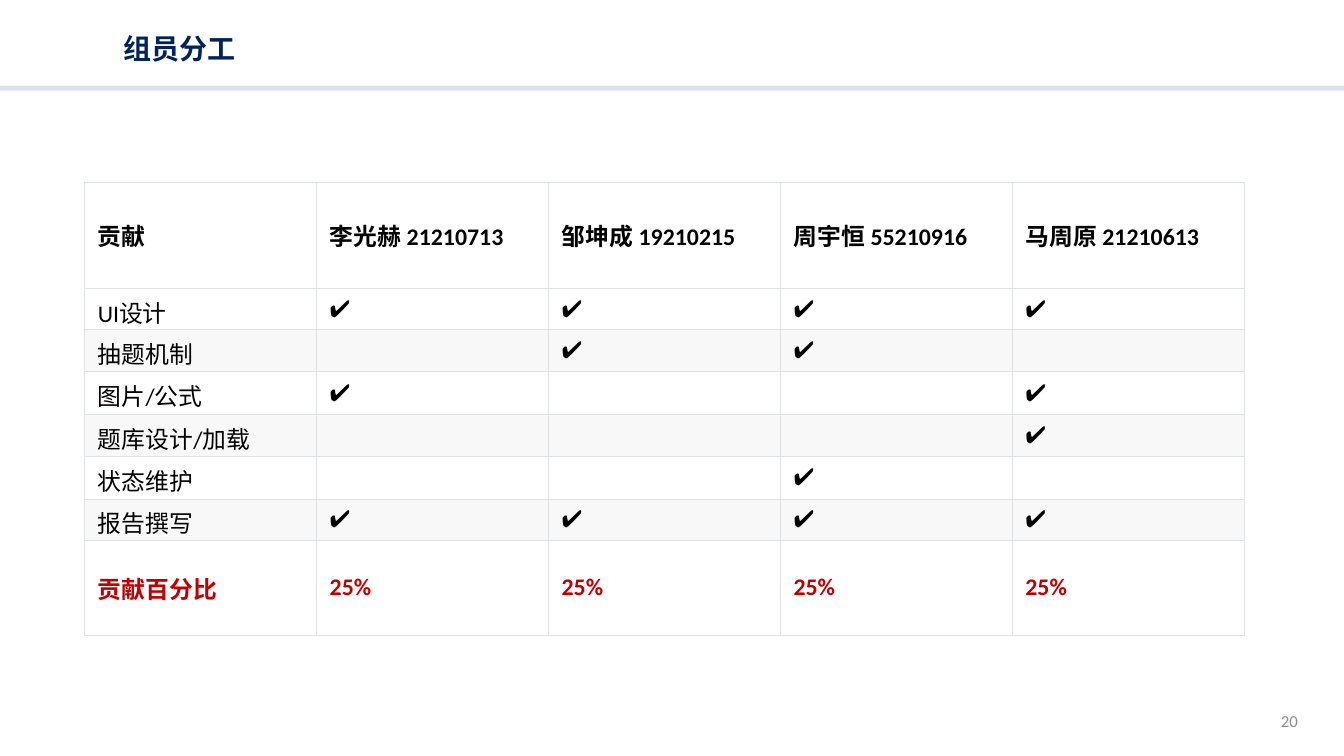
"""Build the slide on how the team shared its work."""
from dataclasses import dataclass

from lxml import etree
from pptx import Presentation
from pptx.dml.color import RGBColor
from pptx.enum.shapes import MSO_SHAPE
from pptx.enum.text import MSO_ANCHOR, MSO_AUTO_SIZE, PP_ALIGN
from pptx.oxml.ns import qn
from pptx.util import Emu, Pt

PX = 9144
RECT = MSO_SHAPE.RECTANGLE
MIDDLE = MSO_ANCHOR.MIDDLE
FIXED = MSO_AUTO_SIZE.NONE
LEFT, RIGHT = PP_ALIGN.LEFT, PP_ALIGN.RIGHT
LATIN, HAN = "Calibri", "Noto Sans CJK SC"
COLORS = {
    "band": "DAE3F3", "title": "002459", "page": "8C8C8C", "ink": "000000",
    "share": "C00000", "white": "FFFFFF", "stripe": "F8F8F8", "grid": "DFE2E5",
}
TICK = "✔️"


@dataclass(frozen=True)
class Box:
    left: int
    top: int
    width: int
    height: int

    def emu(self) -> list[Emu]:
        return [px(n) for n in (self.left, self.top, self.width, self.height)]


@dataclass(frozen=True)
class Look:
    size: int
    color: str
    bold: bool = False
    font: str = LATIN


@dataclass(frozen=True)
class Row:
    height: int
    texts: list[str]
    look: Look
    fill: str = "white"


HEAD = Look(17, "ink", True)
BODY = Look(17, "ink")
SHARE = Look(17, "share", True)
MEMBERS = ["李光赫 21210713", "邹坤成 19210215", "周宇恒 55210916", "马周原 21210613"]
TASKS = {
    "UI设计": (1, 1, 1, 1),
    "抽题机制": (0, 1, 1, 0),
    "图片/公式": (1, 0, 0, 1),
    "题库设计/加载": (0, 0, 0, 1),
    "状态维护": (0, 0, 1, 0),
    "报告撰写": (1, 1, 1, 1),
}


def px(count: int) -> Emu:
    return Emu(count * PX)


def rgb(name: str) -> RGBColor:
    return RGBColor.from_string(COLORS[name])


def write(frame, text: str, look: Look, align=LEFT) -> None:
    frame.text = text
    for para in frame.paragraphs:
        para.alignment = align
        for run in para.runs:
            font = run.font
            font.size, font.bold, font.name = Pt(look.size), look.bold, look.font
            font.color.rgb = rgb(look.color)
            east = etree.SubElement(run._r.get_or_add_rPr(), qn("a:ea"))
            east.set("typeface", HAN)


def edge(cell) -> None:
    props = cell._tc.get_or_add_tcPr()
    for side in "LRTB":
        line = etree.SubElement(props, qn(f"a:ln{side}"), w=str(Pt(0.75)))
        fill = etree.SubElement(line, qn("a:solidFill"))
        etree.SubElement(fill, qn("a:srgbClr"), val=COLORS["grid"])


def draw_cell(cell, text: str, row: Row) -> None:
    edge(cell)
    cell.fill.solid()
    cell.fill.fore_color.rgb = rgb(row.fill)
    cell.vertical_anchor = MIDDLE
    cell.margin_left = cell.margin_right = px(13)
    cell.margin_top = cell.margin_bottom = px(6)
    write(cell.text_frame, text, row.look)


def draw_table(slide, box: Box, rows: list[Row]) -> None:
    count = len(rows[0].texts)
    table = slide.shapes.add_table(len(rows), count, *box.emu()).table
    table.first_row = table.horz_banding = False
    for col in table.columns:
        col.width = px(box.width // count)
    for i, row in enumerate(rows):
        table.rows[i].height = px(row.height)
        for j, text in enumerate(row.texts):
            draw_cell(table.cell(i, j), text, row)


def draw_band(slide, box: Box) -> None:
    band = slide.shapes.add_shape(RECT, *box.emu())
    band.shadow.inherit = False
    band.fill.solid()
    band.fill.fore_color.rgb = rgb("band")
    band.line.fill.background()


def draw_title(slide, box: Box, text: str) -> None:
    title = slide.shapes.title
    title.left, title.top, title.width, title.height = box.emu()
    frame = title.text_frame
    frame.auto_size, frame.vertical_anchor = FIXED, MIDDLE
    write(frame, text, Look(20, "title", True, HAN))
    frame.paragraphs[0].line_spacing = 0.9


def draw_page(slide, box: Box, text: str) -> None:
    frame = slide.shapes.add_textbox(*box.emu()).text_frame
    frame.word_wrap, frame.vertical_anchor = True, MIDDLE
    write(frame, text, Look(12, "page"), RIGHT)


def plan() -> list[Row]:
    rows = [Row(105, ["贡献", *MEMBERS], HEAD)]
    for i, (task, marks) in enumerate(TASKS.items()):
        ticks = [TICK if mark else "" for mark in marks]
        rows.append(Row(41, [task, *ticks], BODY, "stripe" if i % 2 else "white"))
    return rows + [Row(94, ["贡献百分比"] + ["25%"] * len(MEMBERS), SHARE)]


def main() -> None:
    deck = Presentation()
    deck.slide_width, deck.slide_height = px(1333), px(750)
    slide = deck.slides.add_slide(deck.slide_layouts[5])
    draw_band(slide, Box(0, 85, 1333, 5))
    draw_page(slide, Box(997, 695, 300, 40), "20")
    draw_title(slide, Box(112, 20, 1059, 61), "组员分工")
    draw_table(slide, Box(84, 181, 1150, 446), plan())
    deck.save("out.pptx")


if __name__ == "__main__":
    main()
